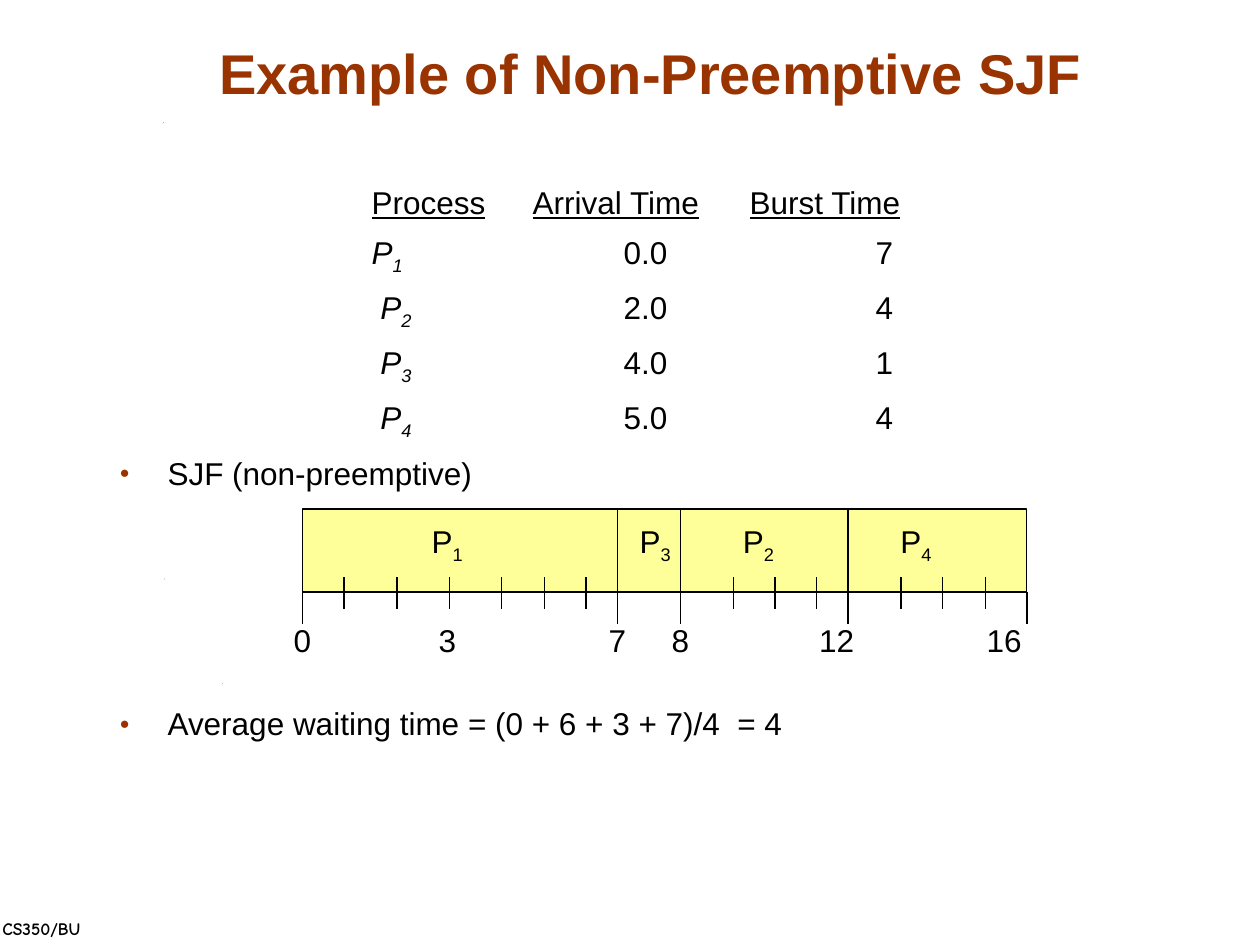
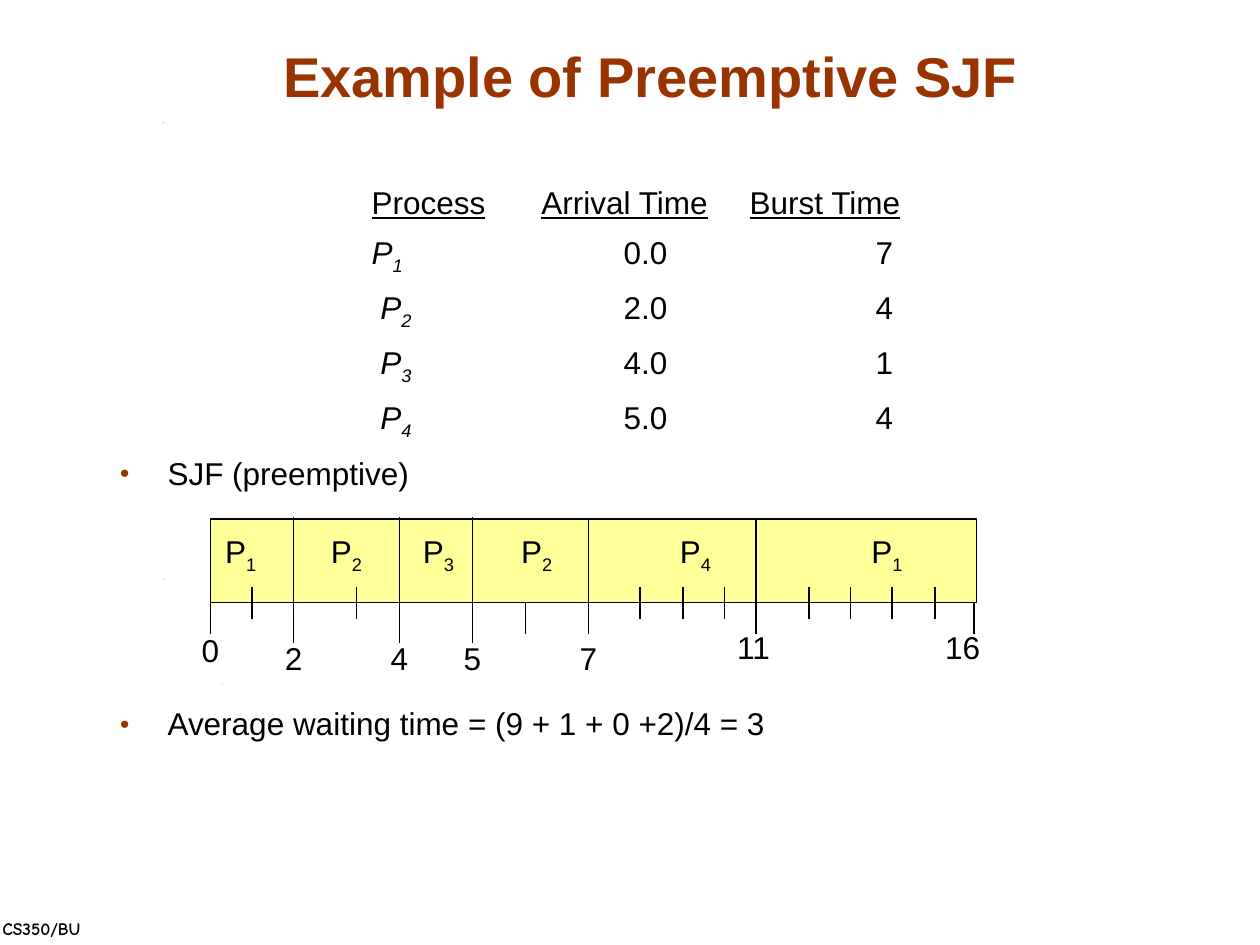
"""Build two slides on shortest-job-first scheduling, each with a process list and a Gantt bar."""
from dataclasses import dataclass

from lxml.etree import SubElement as Sub
from pptx import Presentation
from pptx.dml.color import RGBColor as Rgb
from pptx.enum.shapes import MSO_CONNECTOR as Link, MSO_SHAPE as Kind
from pptx.enum.text import MSO_ANCHOR as Anchor, MSO_AUTO_SIZE as Fit, PP_ALIGN as Align
from pptx.oxml.ns import qn
from pptx.util import Inches, Pt


@dataclass(frozen=True)
class Theme:
    font: str = "Arial"
    foot: str = "Comic Neue"
    ink: str = "000000"
    rust: str = "993300"
    fill: str = "FFFF99"
    head: int = 32
    body: int = 18
    small: int = 10
    line: float = 0.75
    gap: float = 7
    wide: float = 121.7
    pad: float = 0.05


T = Theme()
FOOT = "CS350/BU"
SPECKS = [(1.76, 5.43), (1.3, 4.6), (1.29, 0.98)]
HEADS = ["Process", "Arrival Time", "Burst Time"]
JOBS = [("1", "0.0", "7"), ("2", "2.0", "4"), ("3", "4.0", "1"), ("4", "5.0", "4")]
SKIP = "\t" * 4

SLIDES = [
    dict(
        title="Example of Non-Preemptive SJF", anchor=Anchor.MIDDLE, shift=15,
        lines=["SJF (non-preemptive)", "Average waiting time = (0 + 6 + 3 + 7)/4  = 4"],
        bar=(2.4, 4.04, 5.75, 0.66),
        tasks=[("1", 3.55), ("3", 5.2), ("2", 6.02), ("4", 7.27)],
        cuts=[4.9, 5.4, 6.73], long=[], stems=[2.4, 4.9, 5.4, 6.73, 8.15],
        ticks=[2.73, 3.15, 3.57, 3.98, 4.32, 4.65, 5.82, 6.15, 6.48, 7.15, 7.48, 7.82],
        marks=[("0", 2.4, 0.18), ("3", 3.55, 0.18), ("7", 4.9, 0.18), ("8", 5.4, 0.18),
               ("12", 6.64, 0.18), ("16", 7.97, 0.18)],
    ),
    dict(
        title="Example of Preemptive SJF", anchor=Anchor.BOTTOM, shift=20,
        lines=["SJF (preemptive)", "Average waiting time = (9 + 1 + 0 +2)/4 = 3"],
        bar=(1.67, 4.12, 6.08, 0.66),
        tasks=[("1", 1.91), ("2", 2.75), ("3", 3.48), ("2", 4.26), ("4", 5.52), ("1", 7.04)],
        cuts=[4.67, 6], long=[2.33, 3.17, 3.75], stems=[1.67, 4.17, 4.67, 6, 7.73],
        ticks=[2, 2.83, 5.08, 5.42, 5.75, 6.42, 6.75, 7.08, 7.42],
        marks=[("0", 1.67, 0.18), ("2", 2.33, 0.25), ("4", 3.17, 0.25), ("5", 3.75, 0.25),
               ("7", 4.67, 0.25), ("11", 5.98, 0.16), ("16", 7.64, 0.16)],
    ),
]


def write(para, text, size=T.body, font=T.font, color=T.ink, bold=False,
          italic=False, under=False, sub=False, track=0):
    run = para.add_run()
    run.text = text
    face = run.font
    face.size, face.name, face.bold = Pt(size), font, bold
    face.italic, face.underline = italic, under
    face.color.rgb = Rgb.from_string(color)
    if sub:
        run._r.get_or_add_rPr().set("baseline", "-25000")
    if track:
        run._r.get_or_add_rPr().set("spc", str(track * 100))


def setup(shape, anchor=Anchor.TOP, wrap=True):
    frame = shape.text_frame
    frame.auto_size, frame.word_wrap, frame.vertical_anchor = Fit.NONE, wrap, anchor
    frame.margin_left = frame.margin_right = Inches(T.pad)
    frame.margin_top = frame.margin_bottom = Inches(T.pad)
    return frame


def place(shape, left, top, width, height):
    shape.left, shape.top = Inches(left), Inches(top)
    shape.width, shape.height = Inches(width), Inches(height)


def box(slide, left, top, width, height, anchor=Anchor.MIDDLE, align=Align.CENTER):
    shape = slide.shapes.add_textbox(*map(Inches, (left, top, width, height)))
    para = setup(shape, anchor).paragraphs[0]
    para.alignment = align
    return para


def paint(shape, fill):
    shape.shadow.inherit = False
    shape.fill.solid()
    shape.fill.fore_color.rgb = Rgb.from_string(fill)


def rule(slide, x, top, end):
    line = slide.shapes.add_connector(Link.STRAIGHT, *map(Inches, (x, top, x, end)))
    line.line.color.rgb = Rgb.from_string(T.ink)
    line.line.width = Pt(T.line)
    Sub(line._element.spPr, qn("a:effectLst"))


def layout(para, gap, indent=0):
    para.alignment, para.space_before = Align.LEFT, Pt(gap)
    props = para._p.get_or_add_pPr()
    props.set("marL", str(Inches(indent)))
    props.set("indent", str(-Inches(indent)))
    return props


def plain(para):
    Sub(layout(para, T.gap), qn("a:buNone"))


def bullet(para, gap):
    props = layout(para, gap, 0.38)
    Sub(Sub(props, qn("a:buClr")), qn("a:srgbClr"), val=T.rust)
    Sub(props, qn("a:buSzPct"), val="53000")
    Sub(props, qn("a:buFont"), typeface=T.font)
    Sub(props, qn("a:buChar"), char="●")


def common(slide):
    for x, y in SPECKS:
        pen = slide.shapes.build_freeform(Inches(x), Inches(y), scale=1.0)
        pen.add_line_segments([(Inches(x + 0.01), Inches(y - 0.01)), (Inches(x), Inches(y))])
        speck = pen.convert_to_shape()
        paint(speck, T.ink)
        speck.line.fill.background()
    para = box(slide, -0.03, 7.24, 0.96, 0.3, Anchor.TOP, Align.LEFT)
    write(para, FOOT, size=T.small, font=T.foot, bold=True)


def title(slide, data):
    shape = slide.shapes.title
    place(shape, 0.75, 0.24, 8.83, 0.67)
    para = setup(shape, data["anchor"]).paragraphs[0]
    para.alignment = Align.CENTER
    write(para, data["title"], size=T.head, color=T.rust, bold=True)


def body(slide, data):
    shape = slide.placeholders[1]
    place(shape, 0.9, 1.4, 8.04, 4.9)
    frame = setup(shape)
    para = frame.paragraphs[0]
    plain(para)
    first, second, third = HEADS
    write(para, SKIP)
    write(para, first, under=True)
    write(para, "\t")
    write(para, " ", track=data["shift"])
    write(para, second, under=True)
    write(para, "\t")
    write(para, third, under=True)
    for row, (name, start, burst) in enumerate(JOBS):
        para = frame.add_paragraph()
        plain(para)
        write(para, SKIP + (" " if row else ""))
        write(para, "P", italic=True)
        write(para, name, italic=True, sub=True)
        write(para, SKIP + start + SKIP + burst)
    for text, gap in zip(data["lines"], (T.gap, T.wide)):
        para = frame.add_paragraph()
        bullet(para, gap)
        write(para, text)


def gantt(slide, data):
    left, top, width, height = data["bar"]
    base = top + height
    bar = slide.shapes.add_shape(Kind.RECTANGLE, *map(Inches, data["bar"]))
    paint(bar, T.fill)
    bar.line.color.rgb = Rgb.from_string(T.ink)
    bar.line.width = Pt(T.line)
    spans = [("cuts", top, base), ("long", top - 0.02, base + 0.32),
             ("stems", base, base + 0.25), ("ticks", base - 0.12, base + 0.13)]
    for key, start, end in spans:
        for x in data[key]:
            rule(slide, x, start, end)
    for name, mid in data["tasks"]:
        para = box(slide, mid - 0.33, top + 0.06, 0.66, 0.43)
        write(para, "P")
        write(para, name, sub=True)
    for text, mid, drop in data["marks"]:
        size = 0.33 if len(text) == 1 else 0.6
        write(box(slide, mid - size / 2, base + drop, size, 0.39), text)


def main():
    deck = Presentation()
    deck.slide_width, deck.slide_height = Inches(10), Inches(7.5)
    for data in SLIDES:
        slide = deck.slides.add_slide(deck.slide_layouts[0])
        common(slide)
        title(slide, data)
        body(slide, data)
        gantt(slide, data)
    deck.save("out.pptx")


main()
